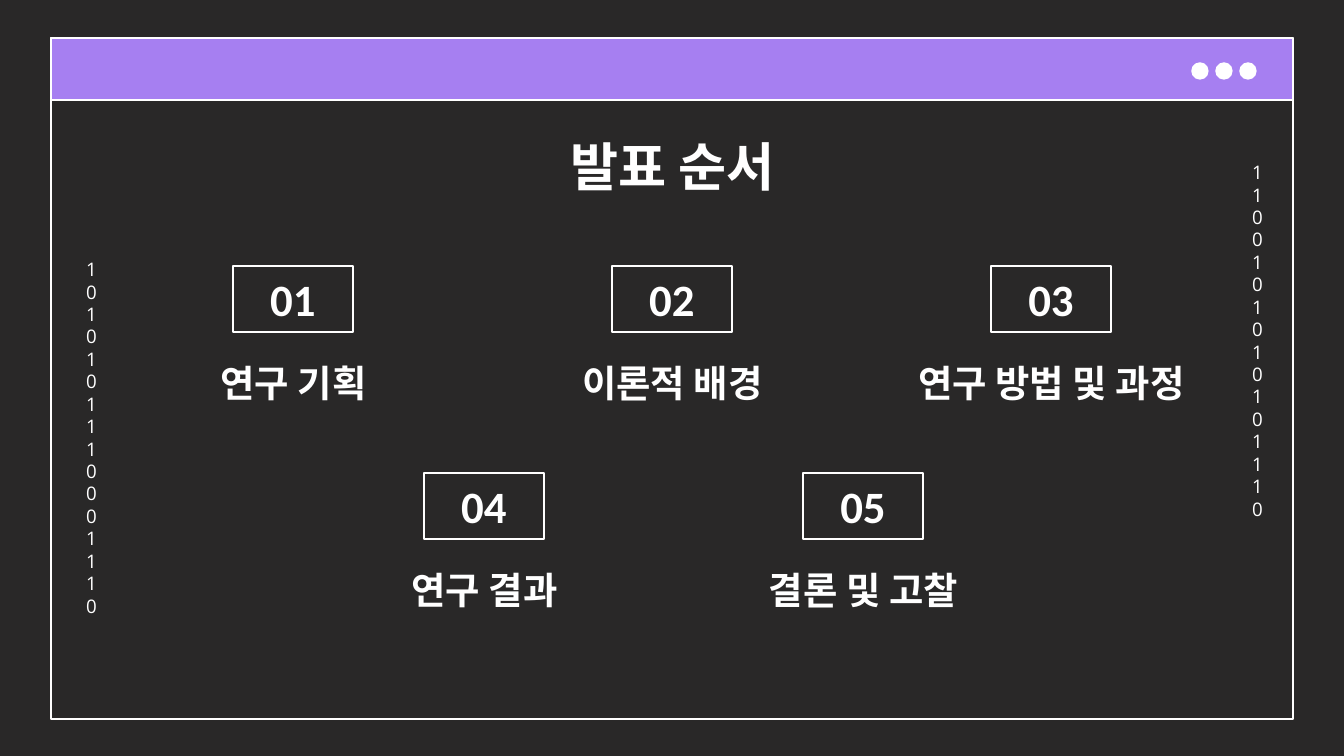
import pptx
import pptx.util
import pptx.dml.color
import pptx.enum.shapes
import pptx.enum.text

SCALE = 914400 / 134.4
RGB = pptx.dml.color.RGBColor.from_string
KIND = pptx.enum.shapes.MSO_SHAPE
ANCHOR = pptx.enum.text.MSO_ANCHOR
CENTER = pptx.enum.text.PP_ALIGN.CENTER

THEME = {
    "back": RGB("292828"),
    "bar": RGB("A67FF1"),
    "ink": RGB("FFFFFF"),
    "line": pptx.util.Pt(0.75),
    "title": {"name": "Cabin", "size": pptx.util.Pt(28), "bold": True},
    "badge": {"name": "Calibri", "size": pptx.util.Pt(24), "bold": True},
    "label": {"name": "Cabin", "size": pptx.util.Pt(20), "bold": True},
    "bits": {"name": "Open Sans", "size": pptx.util.Pt(10), "bold": False},
}


def px(*sizes):
    """Turn px lengths into EMU."""
    return [pptx.util.Emu(round(size * SCALE)) for size in sizes]


def write(shape, lines, style, anchor=ANCHOR.TOP):
    frame = shape.text_frame
    pad = px(13)[0]
    form = {"word_wrap": True, "vertical_anchor": anchor,
            "margin_left": pad, "margin_right": pad,
            "margin_top": pad, "margin_bottom": pad}
    for key, value in form.items():
        setattr(frame, key, value)
    frame.text = "\n".join(lines)
    for para in frame.paragraphs:
        para.alignment = CENTER
        font = para.runs[0].font
        for key, value in THEME[style].items():
            setattr(font, key, value)
        font.color.rgb = THEME["ink"]


deck = pptx.Presentation()
deck.slide_width, deck.slide_height = px(1344, 756)
slide = deck.slides.add_slide(deck.slide_layouts[6])
slide.background.fill.solid()
slide.background.fill.fore_color.rgb = THEME["back"]
shapes = slide.shapes

# Window frame, title bar and dots, then the number badges
COLS, ROWS = (233, 612, 991), (266, 473)
ITEMS = [
    ("01", "연구 기획", COLS[0], ROWS[0]),
    ("02", "이론적 배경", COLS[1], ROWS[0]),
    ("03", "연구 방법 및 과정", COLS[2], ROWS[0]),
    ("04", "연구 결과", 424, ROWS[1]),
    ("05", "결론 및 고찰", 803, ROWS[1]),
]
parts = [
    (KIND.RECTANGLE, (51, 38, 1242, 681), None, None),
    (KIND.RECTANGLE, (51, 38, 1242, 62), THEME["bar"], None),
]
parts += [(KIND.OVAL, (1192 + 24 * i, 63, 16, 16), THEME["ink"], None)
          for i in range(3)]
parts += [(KIND.RECTANGLE, (left, top, 120, 66), None, number)
          for number, name, left, top in ITEMS]

for kind, place, fill, number in parts:
    shape = shapes.add_shape(kind, *px(*place))
    shape.shadow.inherit = False
    shape.line.color.rgb = THEME["ink"]
    shape.line.width = THEME["line"]
    if fill is None:
        shape.fill.background()
    else:
        shape.fill.solid()
        shape.fill.fore_color.rgb = fill
    if number:
        write(shape, [number], "badge", ANCHOR.MIDDLE)

# Title, labels centred under the badges, and digit columns one digit wide
texts = [
    ((106, 121, 1133, 85), ["발표 순서"], "title"),
    ((1239, 148, 32, 376), ["1100101010101110"], "bits"),
    ((73, 245, 32, 376), ["101010111000111", "0"], "bits"),
]
texts += [((left - 127, top + 81, 375, 75), [name], "label")
          for number, name, left, top in ITEMS]
for place, lines, style in texts:
    write(shapes.add_textbox(*px(*place)), lines, style)

deck.save("out.pptx")
